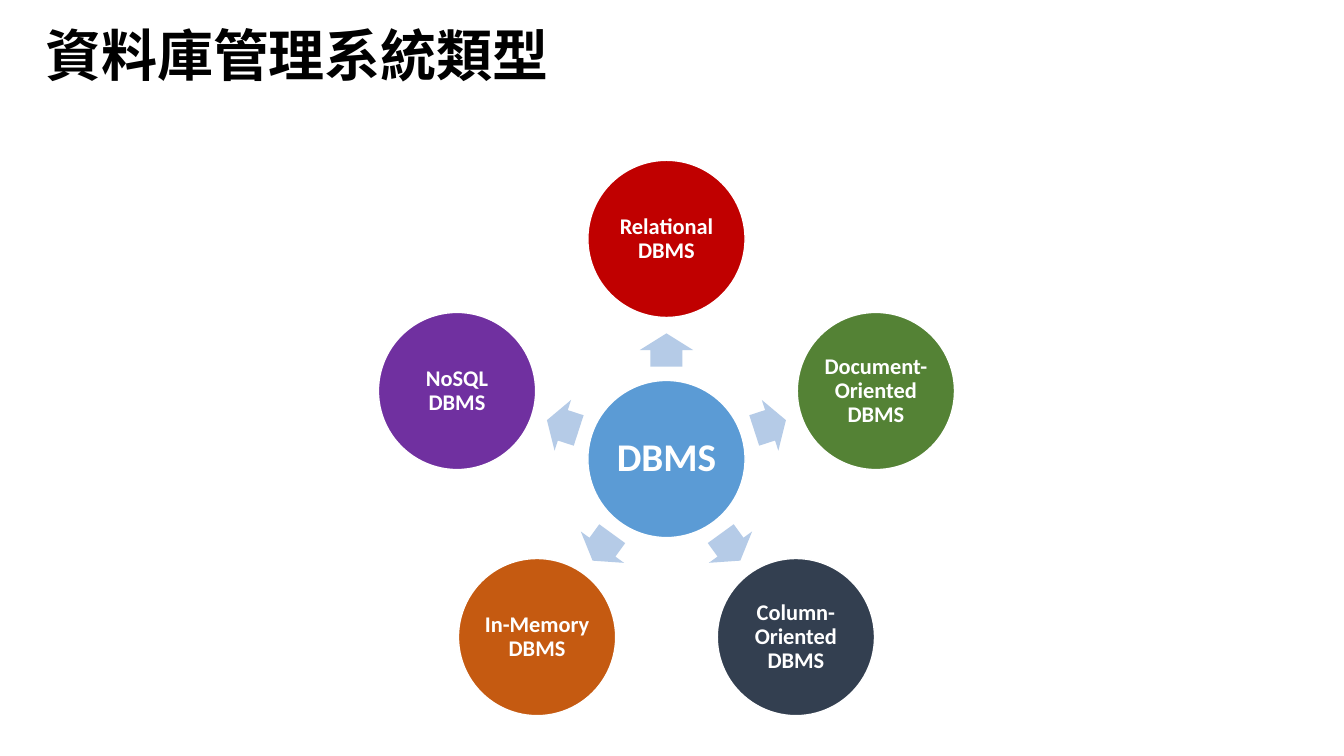
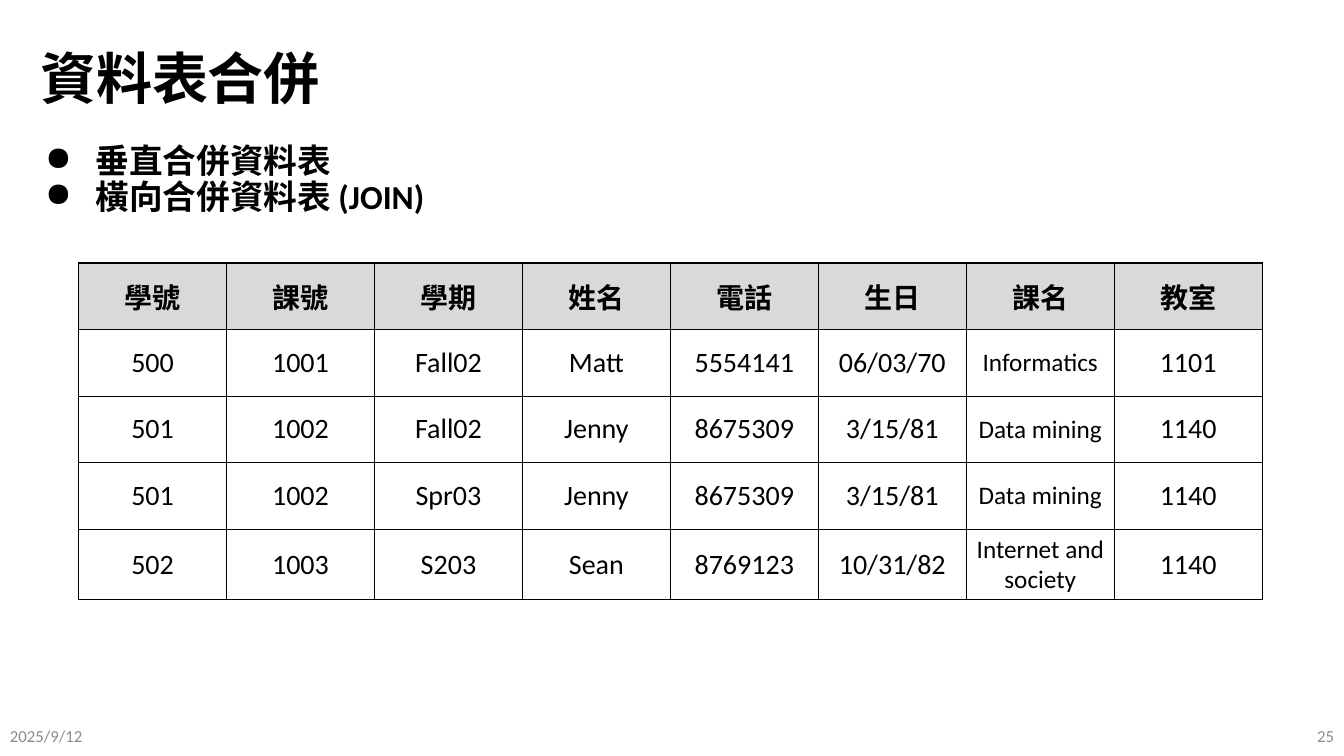
import math
from lxml import etree
from pptx import Presentation, util as u
from pptx.dml.color import RGBColor
from pptx.enum import shapes, text
from pptx.oxml.ns import qn

INK = {
    "black": "000000", "white": "FFFFFF", "gray": "8C8C8C", "head": "D9D9D9",
    "hub": "5B9BD5", "arrow": "B5CBE7", "red": "C00000", "green": "548235",
    "navy": "333F50", "orange": "C55A11", "purple": "7030A0",
}
FONT = "Calibri"
HAN = "Noto Sans CJK SC"
WIDE, HIGH = 13.33, 7.5
LEFT, MID, RIGHT = text.PP_ALIGN.LEFT, text.PP_ALIGN.CENTER, text.PP_ALIGN.RIGHT
TOP, CORE = text.MSO_ANCHOR.TOP, text.MSO_ANCHOR.MIDDLE

NODES = [
    ("Relational DBMS", "red"),
    ("Document-Oriented DBMS", "green"),
    ("Column-Oriented DBMS", "navy"),
    ("In-Memory DBMS", "orange"),
    ("NoSQL DBMS", "purple"),
]
ROWS = [
    ["學號", "課號", "學期", "姓名", "電話", "生日", "課名", "教室"],
    ["500", "1001", "Fall02", "Matt", "5554141", "06/03/70", "Informatics", "1101"],
    ["501", "1002", "Fall02", "Jenny", "8675309", "3/15/81", "Data mining", "1140"],
    ["501", "1002", "Spr03", "Jenny", "8675309", "3/15/81", "Data mining", "1140"],
    ["502", "1003", "S203", "Sean", "8769123", "10/31/82", "Internet and society", "1140"],
]
COURSE = ROWS[0].index("課名")


def color(name):
    return RGBColor.from_string(INK[name])


def inches(*nums):
    return [u.Inches(n) for n in nums]


def write(frame, words, size=20, ink="black", bold=False, font=FONT,
          align=LEFT, space=None, bullet=None):
    for i, line in enumerate(words.split("\n")):
        para = frame.paragraphs[0] if i == 0 else frame.add_paragraph()
        para.alignment = align
        if space:
            para.line_spacing = space
        if bullet:
            props = para._p.get_or_add_pPr()
            props.set("marL", str(u.Inches(0.55)))
            props.set("indent", str(u.Inches(-0.5)))
            etree.SubElement(props, qn("a:buChar")).set("char", bullet)
        run = para.add_run()
        run.text = line
        run.font.size = u.Pt(size)
        run.font.bold = bold
        run.font.name = font
        run.font.color.rgb = color(ink)
        latin = run.font._element.find(qn("a:latin"))
        east = etree.Element(qn("a:ea"))
        east.set("typeface", font)
        latin.addnext(east)


def label(slide, box, words, anchor=CORE, **look):
    frame = slide.shapes.add_textbox(*inches(*box)).text_frame
    frame.word_wrap = True
    frame.vertical_anchor = anchor
    write(frame, words, **look)


def title(slide, box, words):
    label(slide, box, words, size=40, bold=True, space=0.9)


def footer(slide, date, page):
    width, height = 3, 0.4
    top = HIGH - height
    label(slide, (0, top, width, height), date, size=12, ink="gray")
    label(slide, (WIDE - width, top, width, height), page,
          size=12, ink="gray", align=RIGHT)


def figure(slide, kind, x, y, w, h, fill):
    shape = slide.shapes.add_shape(kind, *inches(x - w / 2, y - h / 2, w, h))
    shape.shadow.inherit = False
    shape.fill.solid()
    shape.fill.fore_color.rgb = color(fill)
    return shape


def disc(slide, x, y, side, words, fill, size, inset):
    shape = figure(slide, shapes.MSO_SHAPE.OVAL, x, y, side, side, fill)
    shape.line.color.rgb = color("white")
    shape.line.width = u.Pt(1)
    frame = shape.text_frame
    frame.word_wrap = True
    frame.vertical_anchor = CORE
    frame.margin_left = frame.margin_right = u.Inches(inset)
    frame.margin_top = frame.margin_bottom = u.Inches(inset)
    write(frame, words, size=size, ink="white", bold=True, align=MID, space=0.9)


def arrow(slide, x, y, scale, turn):
    shape = figure(slide, shapes.MSO_SHAPE.RIGHT_ARROW, x, y,
                   0.06 * scale, 0.096 * scale, "arrow")
    shape.line.fill.background()
    shape.adjustments[0] = 0.6
    shape.adjustments[1] = 0.5
    shape.rotation = turn % 360


def wheel(slide, box, hub, nodes):
    left, top, width, height = box
    side = 0.283 * height
    reach = (height - side) / (1 + math.cos(math.pi / len(nodes)))
    x, y = left + width / 2, top + side / 2 + reach
    disc(slide, x, y, side, hub, "hub", 28, 0.04)
    for i, (words, fill) in enumerate(nodes):
        turn = 360 * i / len(nodes) - 90
        dx, dy = math.cos(math.radians(turn)), math.sin(math.radians(turn))
        arrow(slide, x + reach * dx * 0.495, y + reach * dy * 0.495, height, turn)
        disc(slide, x + reach * dx, y + reach * dy, side, words, fill, 16, 0.02)


def border(cell):
    props = cell._tc.get_or_add_tcPr()
    for i, edge in enumerate(("lnL", "lnR", "lnT", "lnB")):
        line = etree.Element(qn("a:" + edge), w=str(u.Pt(1)))
        solid = etree.SubElement(line, qn("a:solidFill"))
        etree.SubElement(solid, qn("a:srgbClr")).set("val", INK["black"])
        props.insert(i, line)


def grid(slide, box, rows):
    table = slide.shapes.add_table(len(rows), len(rows[0]), *inches(*box)).table
    table.horz_banding = False
    for r, row in enumerate(rows):
        head = r == 0
        for c, words in enumerate(row):
            cell = table.cell(r, c)
            cell.vertical_anchor = CORE
            cell.fill.solid()
            cell.fill.fore_color.rgb = color("head" if head else "white")
            border(cell)
            write(cell.text_frame, words, bold=head, align=MID,
                  size=18 if c == COURSE and not head else 20,
                  font=HAN if head else FONT)


def types(slide):
    title(slide, (0.35, 0.08, 12.57, 1), "資料庫管理系統類型")
    wheel(slide, (3.75, 1.59, 5.72, 5.51), "DBMS", NODES)


def merge(slide):
    left, width = 0.3, 12.7
    title(slide, (left, 0.33, width, 0.95), "資料表合併")
    label(slide, (left, 1.38, width, 1), "垂直合併資料表\n橫向合併資料表 (JOIN)",
          anchor=TOP, size=24, bold=True, space=0.9, bullet="●")
    grid(slide, (0.78, 2.61, 11.74, 3.3), ROWS)
    footer(slide, "2025/9/12", "25")


def main():
    deck = Presentation()
    deck.slide_width, deck.slide_height = inches(WIDE, HIGH)
    for build in (types, merge):
        build(deck.slides.add_slide(deck.slide_layouts[6]))
    deck.save("out.pptx")


if __name__ == "__main__":
    main()
